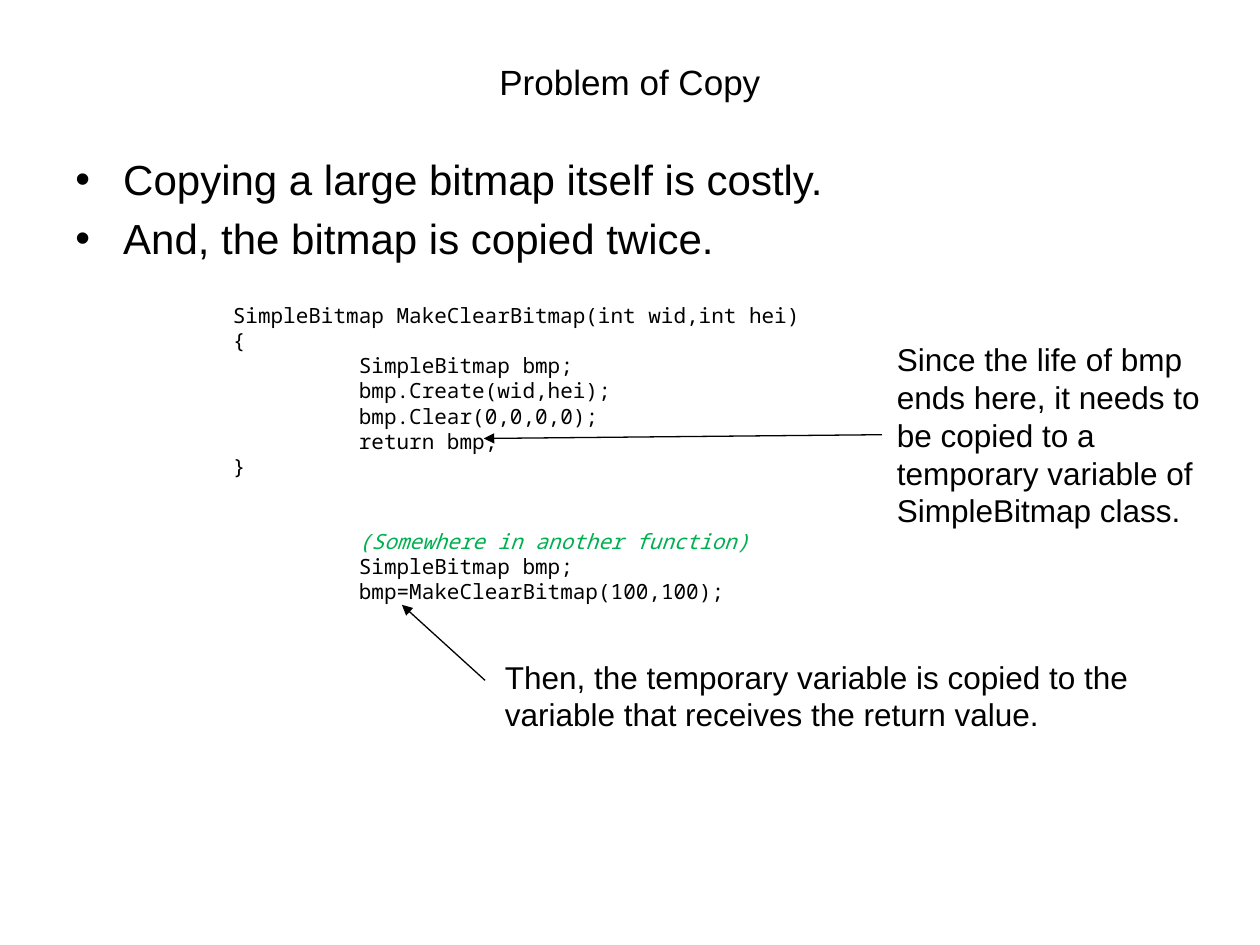
from lxml import etree
from pptx import Presentation
from pptx.dml.color import RGBColor
from pptx.enum.shapes import MSO_CONNECTOR
from pptx.enum.text import MSO_ANCHOR, PP_ALIGN
from pptx.oxml.ns import qn
from pptx.util import Inches, Pt

COLORS = {"ink": "000000", "remark": "00B050"}
BODY_FONT, CODE_FONT = "Arial", "Noto Sans Mono"


class SlideBuilder:
    """Holds the text style and the current slide."""

    def __init__(self, slide):
        """Keep the slide to draw on."""
        self.slide = slide

    def text(self, box, lines, size, font=BODY_FONT):
        """Add a wrapped text box with one paragraph per line."""
        frame = self.slide.shapes.add_textbox(*map(Inches, box)).text_frame
        frame.word_wrap = True
        frame.text = "\n".join(lines)
        for paragraph in frame.paragraphs:
            for run in paragraph.runs:
                run.font.size = Pt(size)
                run.font.name = font
                run.font.color.rgb = RGBColor.from_string(COLORS["ink"])
        return frame

    def title(self, box, wording):
        """Add the centred heading."""
        frame = self.text(box, [wording], 20)
        frame.vertical_anchor = MSO_ANCHOR.MIDDLE
        frame.paragraphs[0].alignment = PP_ALIGN.CENTER

    def bullets(self, box, points):
        """Add a bulleted list with hanging indents."""
        for paragraph in self.text(box, points, 24).paragraphs:
            props = paragraph._p.get_or_add_pPr()
            props.set("marL", str(Inches(0.38)))
            props.set("indent", str(-Inches(0.38)))
            before = etree.SubElement(props, qn("a:spcBef"))
            etree.SubElement(before, qn("a:spcPct")).set("val", "20000")
            etree.SubElement(props, qn("a:buFont")).set("typeface", BODY_FONT)
            etree.SubElement(props, qn("a:buChar")).set("char", "•")

    def code(self, box, lines, flush, remark):
        """Add code: all but the flush lines are indented, the remark is green."""
        frame = self.text(box, lines, 12, CODE_FONT)
        for line, paragraph in zip(lines, frame.paragraphs):
            if line not in flush:
                paragraph._p.get_or_add_pPr().set("marL", str(Inches(1)))
            if line == remark:
                paragraph.space_before = Pt(28.5)
                font = paragraph.runs[0].font
                font.italic = True
                font.color.rgb = RGBColor.from_string(COLORS["remark"])

    def arrow(self, start, end):
        """Add a thin line with a triangle at its end."""
        line = self.slide.shapes.add_connector(
            MSO_CONNECTOR.STRAIGHT, *map(Inches, start + end))
        line.line.color.rgb = RGBColor.from_string(COLORS["ink"])
        line.line.width = Pt(0.75)
        etree.SubElement(line.line._get_or_add_ln(), qn("a:tailEnd")).set("type", "triangle")
        etree.SubElement(line._element.spPr, qn("a:effectLst"))


def main():
    """Build the slide and save it."""
    deck = Presentation()
    deck.slide_width, deck.slide_height = Inches(10), Inches(7.5)
    page = SlideBuilder(deck.slides.add_slide(deck.slide_layouts[6]))

    page.title((0.5, 0.3, 9, 0.7), "Problem of Copy")
    page.bullets((0.5, 1.17, 9, 5.53), [
        "Copying a large bitmap itself is costly.",
        "And, the bitmap is copied twice.",
    ])

    signature = "SimpleBitmap MakeClearBitmap(int wid,int hei)"
    remark = "(Somewhere in another function)"
    page.code((1.75, 2.35, 6.1, 2.73), [
        signature,
        "{",
        "SimpleBitmap bmp;",
        "bmp.Create(wid,hei);",
        "bmp.Clear(0,0,0,0);",
        "return bmp;",
        "}",
        remark,
        "SimpleBitmap bmp;",
        "bmp=MakeClearBitmap(100,100);",
    ], (signature, "{", "}"), remark)

    notes = [
        ((7.02, 2.65, 2.9, 1.62), (7, 3.45), (3.84, 3.48),
         "Since the life of bmp ends here, it needs to be copied to a "
         "temporary variable of SimpleBitmap class."),
        ((3.91, 5.17, 5.97, 0.71), (3.85, 5.4), (3.19, 4.8),
         "Then, the temporary variable is copied to the variable that "
         "receives the return value."),
    ]
    for box, start, end, wording in notes:
        page.text(box, [wording], 18)
        page.arrow(start, end)

    deck.save("out.pptx")


main()
